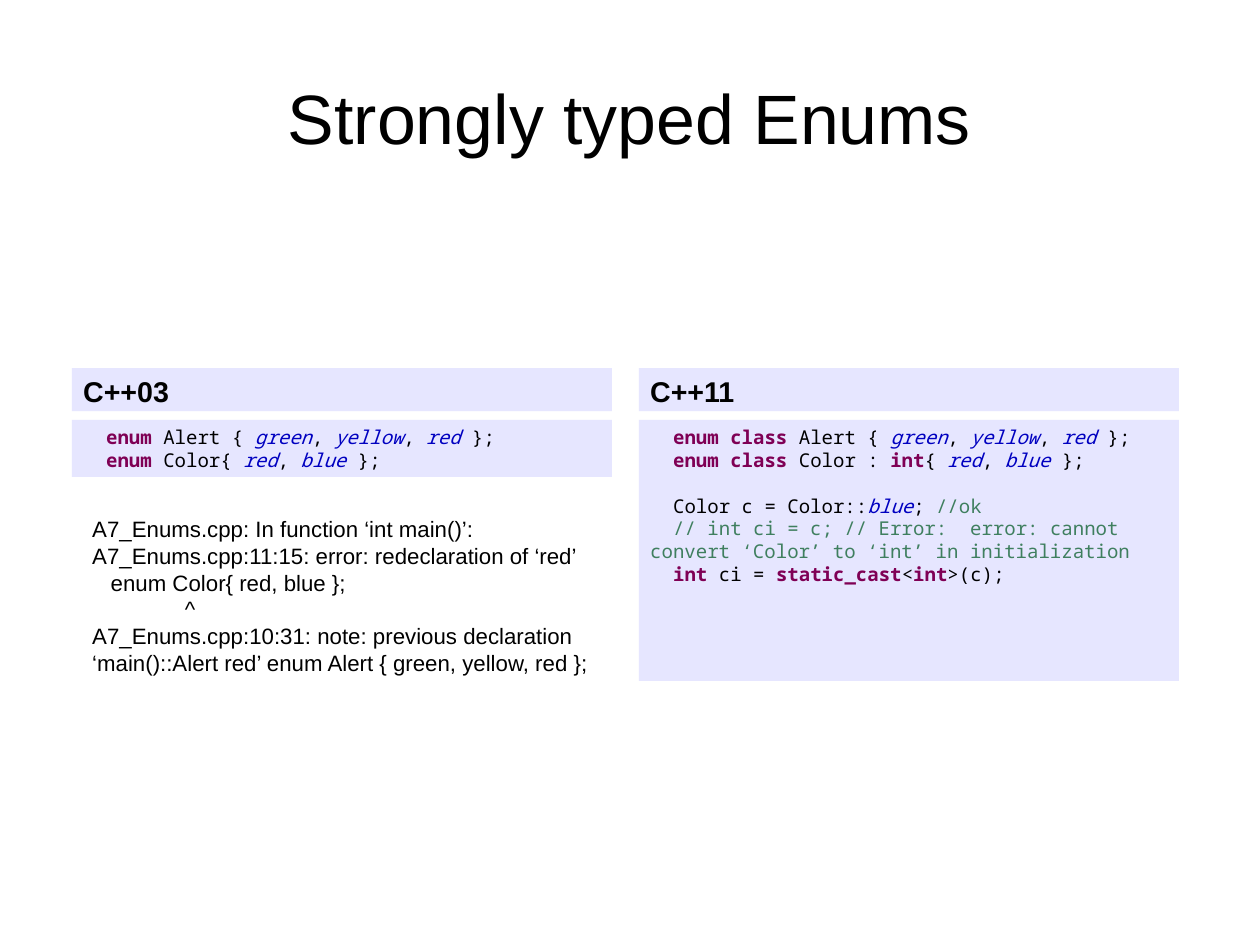
import dataclasses

import pptx
import pptx.dml.color
import pptx.enum.shapes
import pptx.enum.text
import pptx.util
from pptx.util import Cm


@dataclasses.dataclass(frozen=True)
class Theme:
    text_font: str = "Arial"
    code_font: str = "Noto Sans Mono"
    title_size: int = 44
    heading_size: int = 18
    message_size: int = 14
    code_size: int = 12
    code_gap: float = 14.3
    panel: str = "E6E6FF"
    ink: str = "000000"
    keyword: str = "7F0055"
    member: str = "0000C0"
    comment: str = "3F7F5F"


def color(value):
    return pptx.dml.color.RGBColor.from_string(value)


class EnumSlide:
    def __init__(self, slide, theme):
        self.slide = slide
        self.theme = theme

    def prepare(self, shape, inset_x=0.25, inset_y=0.13, anchor="TOP"):
        frame = shape.text_frame
        frame.word_wrap = True
        frame.margin_left = frame.margin_right = Cm(inset_x)
        frame.margin_top = frame.margin_bottom = Cm(inset_y)
        frame.vertical_anchor = pptx.enum.text.MSO_ANCHOR[anchor]
        return frame

    def paragraph(self, frame, number, size, font, indent=0.0):
        """Return a styled paragraph whose first line alone is indented."""
        para = frame.add_paragraph() if number else frame.paragraphs[0]
        para.alignment = pptx.enum.text.PP_ALIGN.LEFT
        para.font.size = pptx.util.Pt(size)
        para.font.name = font
        para.font.color.rgb = color(self.theme.ink)
        if indent:
            properties = para._p.get_or_add_pPr()
            properties.set("marL", "0")
            properties.set("indent", str(Cm(indent)))
        return para

    def title(self, text, left, top, width, height):
        box = self.slide.shapes.add_textbox(Cm(left), Cm(top), Cm(width), Cm(height))
        frame = self.prepare(box, 0, 0, "MIDDLE")
        para = self.paragraph(frame, 0, self.theme.title_size, self.theme.text_font)
        para.text = text
        para.alignment = pptx.enum.text.PP_ALIGN.CENTER

    def panel(self, left, top, width, height):
        shape = self.slide.shapes.add_shape(
            pptx.enum.shapes.MSO_SHAPE.RECTANGLE,
            Cm(left), Cm(top), Cm(width), Cm(height))
        shape.shadow.inherit = False
        shape.fill.solid()
        shape.fill.fore_color.rgb = color(self.theme.panel)
        shape.line.fill.background()
        return self.prepare(shape)

    def heading(self, text, *place):
        frame = self.panel(*place)
        para = self.paragraph(frame, 0, self.theme.heading_size, self.theme.text_font)
        para.text = text
        para.font.bold = True

    def code(self, blocks, *place):
        """Draw blocks of code lines, with one line of space between blocks."""
        frame = self.panel(*place)
        number = 0
        for block_number, block in enumerate(blocks):
            for line_number, line in enumerate(block):
                para = self.paragraph(frame, number, self.theme.code_size,
                                      self.theme.code_font, CODE_INDENT)
                if block_number and not line_number:
                    para.space_before = pptx.util.Pt(self.theme.code_gap)
                for kind, text in line:
                    span = para.add_run()
                    span.text = text
                    span.font.color.rgb = color(getattr(self.theme, kind))
                    if kind == "keyword":
                        span.font.bold = True
                    if kind == "member":
                        span.font.italic = True
                number += 1

    def message(self, lines, left, top, width, height):
        box = self.slide.shapes.add_textbox(Cm(left), Cm(top), Cm(width), Cm(height))
        frame = self.prepare(box)
        for number, (indent, text) in enumerate(lines):
            para = self.paragraph(frame, number, self.theme.message_size,
                                  self.theme.text_font, indent)
            para.text = text


def enum_line(keyword, *opening, members):
    """Return the coloured spans of one enum declaration."""
    line = [("keyword", keyword), *opening]
    for number, member in enumerate(members):
        if number:
            line.append(("ink", ", "))
        line.append(("member", member))
    return line + [("ink", " };")]


CODE_INDENT = 0.51
ALERTS = ["green", "yellow", "red"]
COLORS = ["red", "blue"]

OLD_CODE = [[
    enum_line("enum", ("ink", " Alert { "), members=ALERTS),
    enum_line("enum", ("ink", " Color{ "), members=COLORS),
]]
NEW_CODE = [
    [
        enum_line("enum class", ("ink", " Alert { "), members=ALERTS),
        enum_line("enum class", ("ink", " Color : "), ("keyword", "int"),
                  ("ink", "{ "), members=COLORS),
    ],
    [
        [("ink", "Color c = Color::"), ("member", "blue"), ("ink", "; "),
         ("comment", "//ok")],
        [("comment", "// int ci = c; // Error:  error: cannot convert "
                     "‘Color’ to ‘int’ in initialization")],
        [("keyword", "int"), ("ink", " ci = "), ("keyword", "static_cast"),
         ("ink", "<"), ("keyword", "int"), ("ink", ">(c);")],
    ],
]
COMPILER_OUTPUT = [
    (0, "A7_Enums.cpp: In function ‘int main()’:"),
    (0, "A7_Enums.cpp:11:15: error: redeclaration of ‘red’"),
    (0.41, "enum Color{ red, blue };"),
    (2.06, "^"),
    (0, "A7_Enums.cpp:10:31: note: previous declaration "
        "‘main()::Alert red’ enum Alert { green, yellow, red };"),
]


def main():
    deck = pptx.Presentation()
    deck.slide_width, deck.slide_height = Cm(28), Cm(21)
    page = EnumSlide(deck.slides.add_slide(deck.slide_layouts[6]), Theme())

    page.title("Strongly typed Enums", 1.4, 0.84, 25.2, 3.51)
    page.message(COMPILER_OUTPUT, 1.8, 11.33, 11.81, 4.06)

    column_width, code_top = 12, 9.33
    columns = [
        (1.6, "C++03", OLD_CODE, 1.27),
        (14.2, "C++11", NEW_CODE, 5.8),
    ]
    for left, standard, code, code_height in columns:
        page.heading(standard, left, 8.18, column_width, 0.96)
        page.code(code, left, code_top, column_width, code_height)

    deck.save("out.pptx")


if __name__ == "__main__":
    main()
